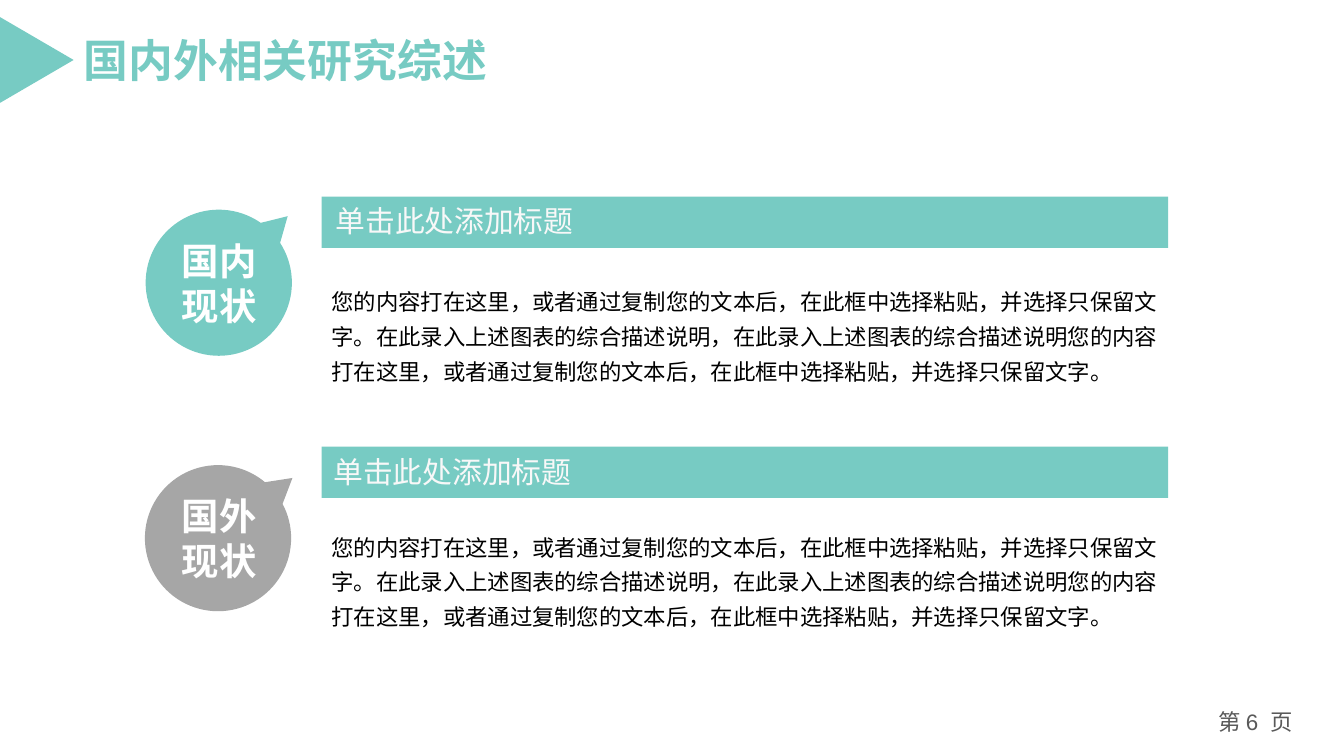
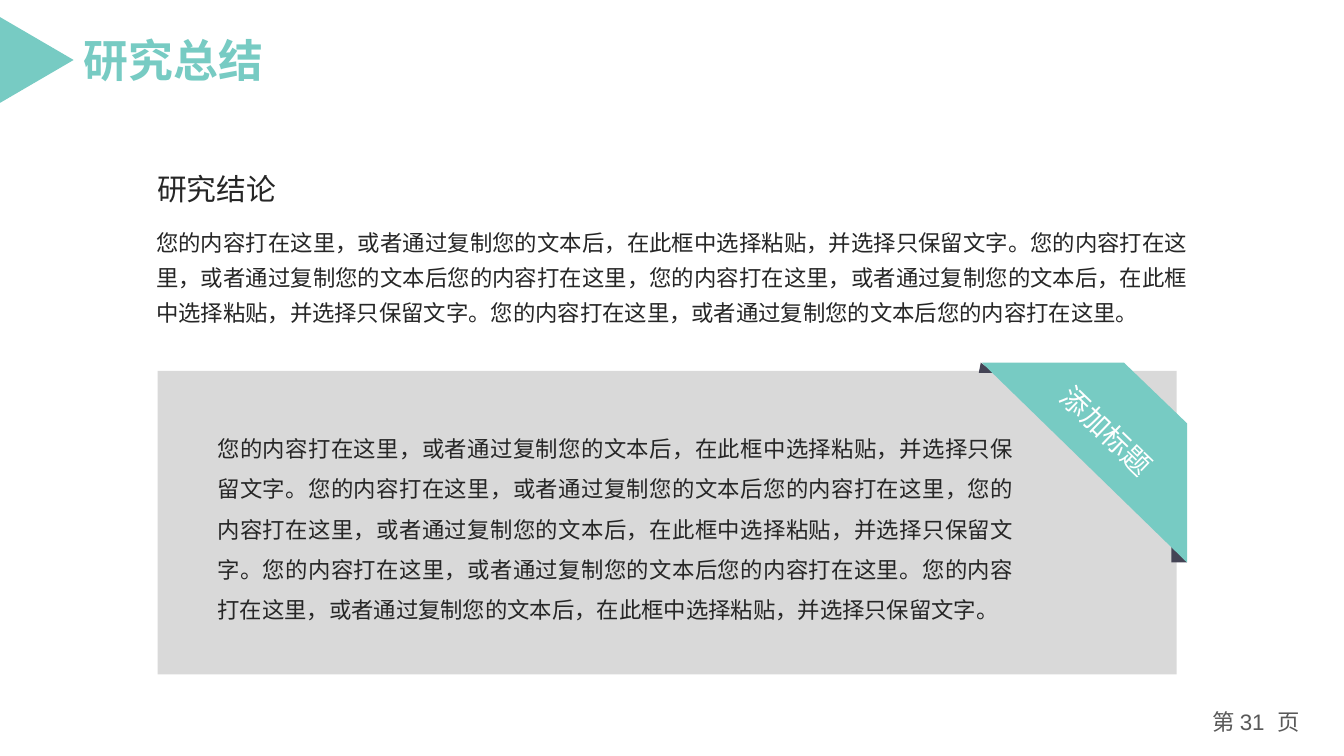
import math

import pptx
import pptx.dml.color
import pptx.enum.shapes
import pptx.enum.text
import pptx.oxml.ns
import pptx.util

RGBColor = pptx.dml.color.RGBColor
PP_ALIGN = pptx.enum.text.PP_ALIGN
ANCHOR = pptx.enum.text.MSO_ANCHOR
MSO_SHAPE = pptx.enum.shapes.MSO_SHAPE

TEAL = RGBColor(0x77, 0xCB, 0xC3)
GRAY = RGBColor(0xA6, 0xA6, 0xA6)
PANEL = RGBColor(0xD9, 0xD9, 0xD9)
FOLD = RGBColor(0x44, 0x44, 0x55)
INK = RGBColor(0x26, 0x26, 0x26)
BLACK = RGBColor(0, 0, 0)
WHITE = RGBColor(0xFF, 0xFF, 0xFF)
OFF_WHITE = RGBColor(0xF8, 0xF8, 0xF8)
FOOTER_GRAY = RGBColor(0x59, 0x59, 0x59)
HAN_FONT = "Noto Sans CJK SC"
LATIN_FONT = "Arial"

presentation = pptx.Presentation()
presentation.slide_width = pptx.util.Emu(12192000)
presentation.slide_height = pptx.util.Emu(6858000)

# The grid: 100 columns by 100 rows
COLUMN = presentation.slide_width / 100
ROW = presentation.slide_height / 100


def grid(*lengths):
    """Turn alternating columns and rows into EMU."""
    return [pptx.util.Emu(round(length * (ROW if i % 2 else COLUMN)))
            for i, length in enumerate(lengths)]


def dress(shape, fill=None, text="", size=16, color=INK, bold=False,
          align=PP_ALIGN.LEFT, spacing=None, anchor=ANCHOR.TOP, font=HAN_FONT):
    """Fill a shape and set its text."""
    if fill is not None:
        shape.shadow.inherit = False
        shape.fill.solid()
        shape.fill.fore_color.rgb = fill
        shape.line.fill.background()
    if not text:
        return
    frame = shape.text_frame
    frame.text = text
    frame.word_wrap = True
    frame.auto_size = pptx.enum.text.MSO_AUTO_SIZE.NONE
    frame.vertical_anchor = anchor
    for paragraph in frame.paragraphs:
        paragraph.alignment = align
        paragraph.line_spacing = spacing
        for run in paragraph.runs:
            run.font.name = font
            run.font.size = pptx.util.Pt(size)
            run.font.bold = bold
            run.font.color.rgb = color
            east_asian = run.font._element.makeelement(
                pptx.oxml.ns.qn("a:ea"), {"typeface": HAN_FONT})
            run.font._element.find(pptx.oxml.ns.qn("a:latin")).addnext(east_asian)


# Shared frame: title, arrow and page number
slides = []
for title, title_width, page in [("国内外相关研究综述", 32.33, 6), ("研究总结", 15.45, 31)]:
    slide = presentation.slides.add_slide(presentation.slide_layouts[5])
    slides.append(slide)
    heading = slide.shapes.title
    heading.left, heading.top, heading.width, heading.height = grid(5.18, 3.47, title_width, 8.93)
    dress(heading, text=title, size=32, color=TEAL, bold=True,
          anchor=ANCHOR.MIDDLE, font=LATIN_FONT)
    heading.text_frame.margin_left = pptx.util.Inches(0.14)
    heading.text_frame.margin_right = 0

    arrow = slide.shapes.add_shape(MSO_SHAPE.ISOSCELES_TRIANGLE, *grid(-0.45, 3.07, 6.38, 9.73))
    arrow.rotation = 90
    dress(arrow, TEAL)

    page_number = slide.shapes.add_textbox(*grid(88.95, 93.07, 9, 5.33))
    dress(page_number, text=f"第 {page}  页", color=FOOTER_GRAY,
          align=PP_ALIGN.CENTER, font=LATIN_FONT)

review, summary = slides

# Research review: a balloon, a bar and a paragraph for each topic
review_text = ("您的内容打在这里，或者通过复制您的文本后，在此框中选择粘贴，并选择只保留文字。"
               "在此录入上述图表的综合描述说明，在此录入上述图表的综合描述说明"
               "您的内容打在这里，或者通过复制您的文本后，在此框中选择粘贴，并选择只保留文字。")
BALLOON_WIDTH, BALLOON_HEIGHT = 10.88, 19.33
TAIL_REACH = 0.655  # share of the balloon's diameter
topics = [
    # label, color, bar top, bar text place, paragraph top, balloon center, tail angle
    ("国内\n现状", TEAL, 26, (24.23, 26.13), 36.4, (16.28, 37.4), 44),
    ("国外\n现状", GRAY, 59.07, (24.08, 59.33), 68.87, (16.22, 71.2), 39),
]
for label, color, bar_top, caption_place, detail_top, (center, middle), tail_angle in topics:
    bar = review.shapes.add_shape(MSO_SHAPE.RECTANGLE, *grid(23.93, bar_top, 63, 6.8))
    dress(bar, TEAL)
    caption = review.shapes.add_textbox(*grid(*caption_place, 50, 6.13))
    dress(caption, text="单击此处添加标题", size=21.3, color=OFF_WHITE)

    detail = review.shapes.add_textbox(*grid(23.93, detail_top, 63, 15.33))
    dress(detail, text=review_text, color=BLACK, spacing=1.3)

    balloon = review.shapes.add_shape(MSO_SHAPE.OVAL_CALLOUT, *grid(
        center - BALLOON_WIDTH / 2, middle - BALLOON_HEIGHT / 2, BALLOON_WIDTH, BALLOON_HEIGHT))
    balloon.adjustments[0] = TAIL_REACH * math.cos(math.radians(tail_angle))
    balloon.adjustments[1] = -TAIL_REACH * math.sin(math.radians(tail_angle))
    dress(balloon, color)

    balloon_label = review.shapes.add_textbox(*grid(16.3 - 3.53, middle - 3.6, 7.06, 7.2))
    dress(balloon_label, text=label, size=26.7, color=WHITE, bold=True,
          align=PP_ALIGN.CENTER, anchor=ANCHOR.MIDDLE)
    balloon_label.text_frame.margin_left = balloon_label.text_frame.margin_right = 0

# Research summary: conclusion
paste_text = "您的内容打在这里，或者通过复制您的文本后，在此框中选择粘贴，并选择只保留文字。"
repeat_text = "您的内容打在这里，或者通过复制您的文本后您的内容打在这里"
conclusion_text = f"{paste_text}{repeat_text}，{paste_text}{repeat_text}。"

conclusion = summary.shapes.add_textbox(*grid(10.88, 28.6, 78.3, 15.33))
dress(conclusion, text=conclusion_text, align=PP_ALIGN.JUSTIFY, spacing=1.3)
conclusion_heading = summary.shapes.add_textbox(*grid(10.95, 21.87, 10.5, 6.13))
dress(conclusion_heading, text="研究结论", size=21.3)

# Panel with its paragraph
panel = summary.shapes.add_shape(MSO_SHAPE.RECTANGLE, *grid(11.72, 49.07, 75.83, 40.13))
dress(panel, PANEL)
panel_detail = summary.shapes.add_textbox(*grid(15.45, 55.13, 60.75, 28.27))
dress(panel_detail, text=conclusion_text + paste_text, align=PP_ALIGN.JUSTIFY, spacing=1.5)

# Corner ribbon: two folds, then the band
ribbon_parts = [
    (FOLD, [(88.32, 74.4), (87.15, 74.4), (87.15, 71.87)]),
    (FOLD, [(72.98, 47.97), (72.83, 49.33), (74.03, 49.33)]),
    (TEAL, [(73.05, 47.97), (88.32, 74.4), (88.32, 56), (83.63, 47.97)]),
]
for color, corners in ribbon_parts:
    points = [grid(*corner) for corner in corners]
    builder = summary.shapes.build_freeform(*points[0])
    builder.add_line_segments(points[1:], close=True)
    dress(builder.convert_to_shape(), color)

ribbon_label = summary.shapes.add_textbox(*grid(77.4, 54.07, 9.9, 5.87))
ribbon_label.rotation = 44
dress(ribbon_label, text="添加标题", size=20, color=WHITE, align=PP_ALIGN.CENTER)
ribbon_label.text_frame.margin_left = ribbon_label.text_frame.margin_right = 0

presentation.save("out.pptx")
